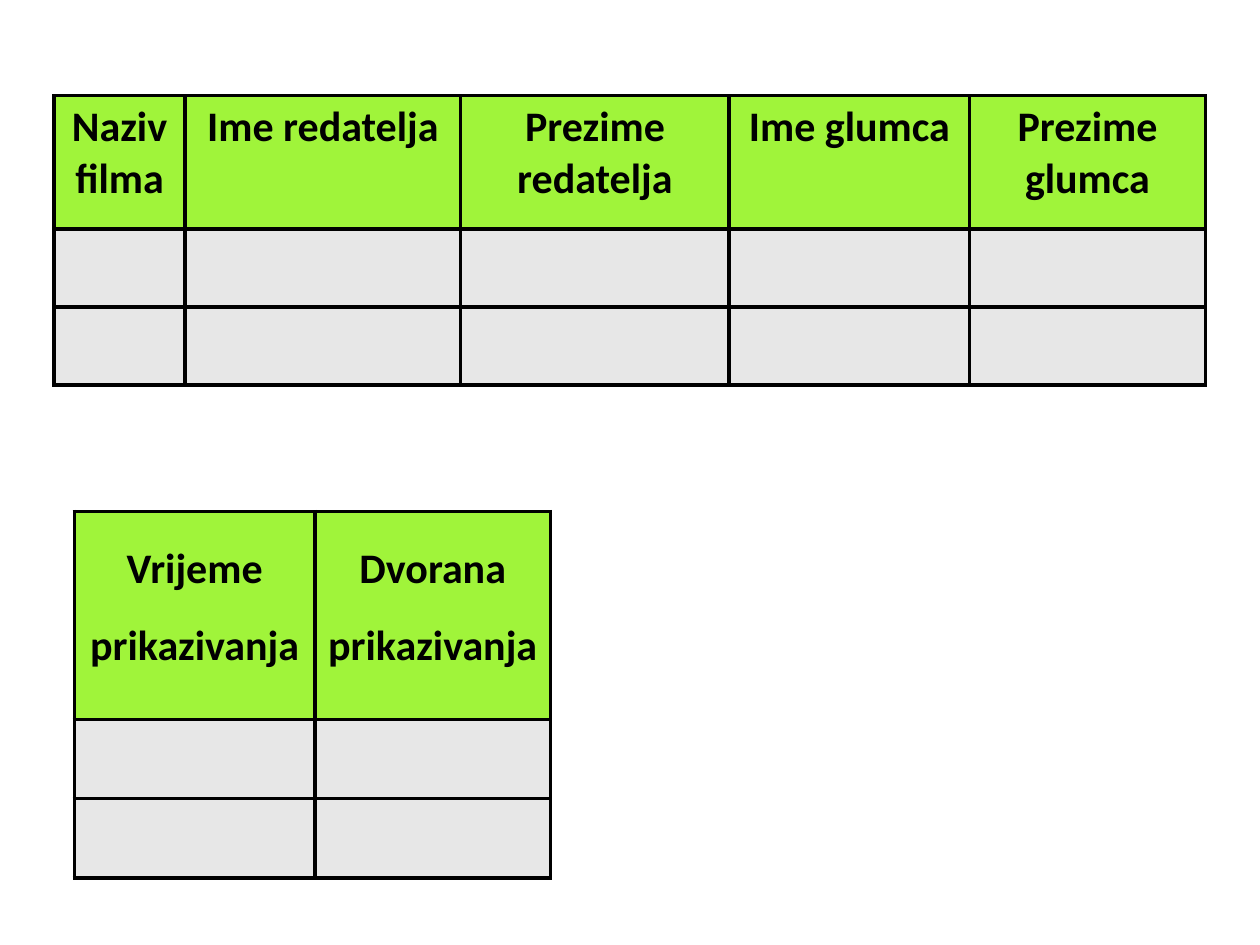
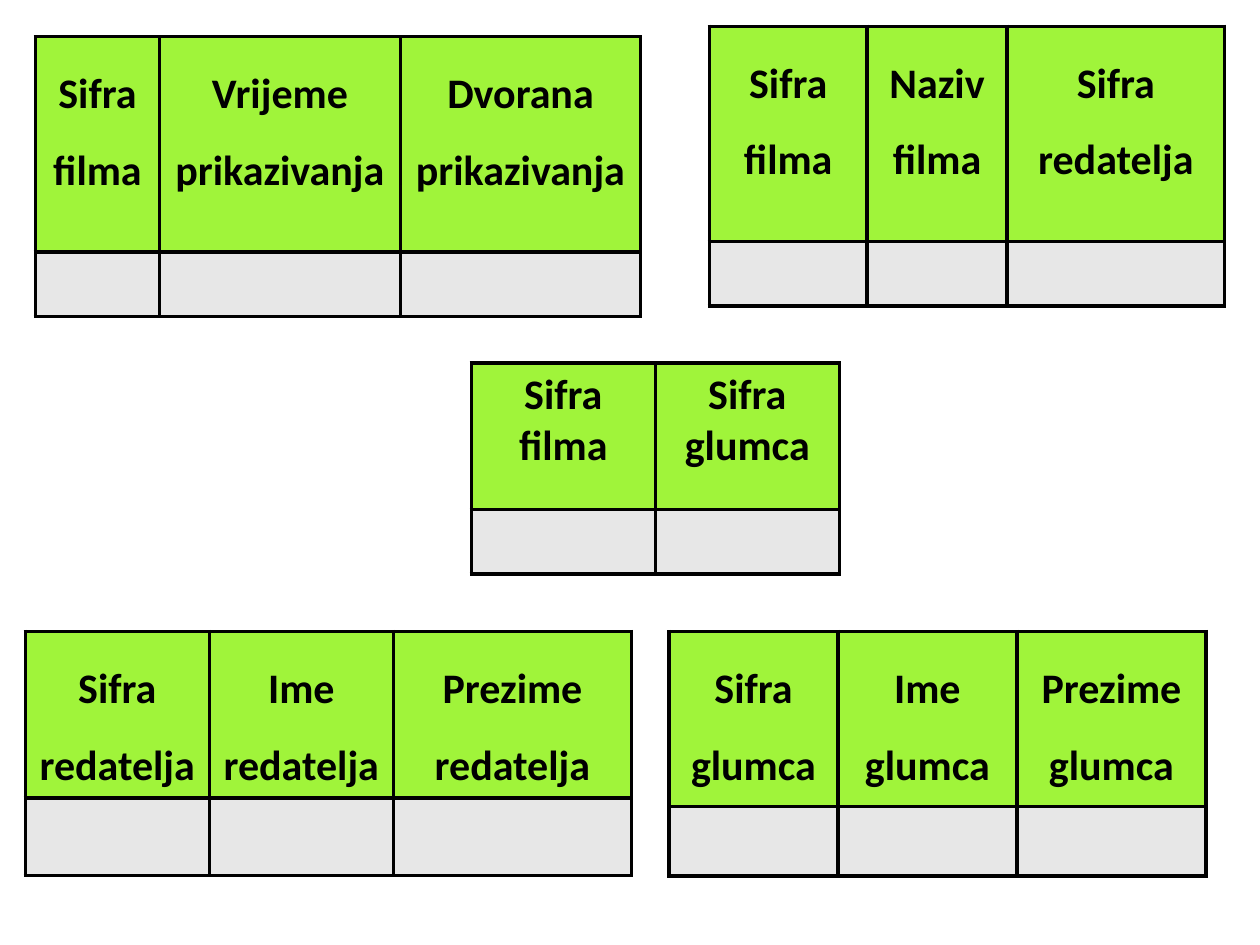
from dataclasses import dataclass

from lxml import etree
from pptx import Presentation
from pptx import util as u
from pptx.dml.color import RGBColor
from pptx.enum import text
from pptx.oxml import ns


@dataclass(frozen=True)
class Theme:
    header: RGBColor = RGBColor(0xA0, 0xF4, 0x3A)
    body: RGBColor = RGBColor(0xE7, 0xE7, 0xE7)
    ink: RGBColor = RGBColor(0, 0, 0)
    font: str = "Calibri"
    size: u.Pt = u.Pt(24)
    border: u.Pt = u.Pt(2.25)
    margin: u.Cm = u.Cm(0.19)


THEME = Theme()
LOOSE = 1.5


def border_cell(cell):
    tc_pr = cell._tc.get_or_add_tcPr()
    for side in ("lnL", "lnR", "lnT", "lnB"):
        ln = etree.SubElement(tc_pr, ns.qn(f"a:{side}"), w=str(int(THEME.border)))
        fill = etree.SubElement(ln, ns.qn("a:solidFill"))
        etree.SubElement(fill, ns.qn("a:srgbClr"), val=str(THEME.ink))


def style_cell(cell, color):
    border_cell(cell)
    cell.fill.solid()
    cell.fill.fore_color.rgb = color
    cell.margin_left = cell.margin_right = THEME.margin


def write_heading(cell, heading, spacing):
    """Write a column heading, one paragraph for each line of the string."""
    tf = cell.text_frame
    for i, line in enumerate(heading.split("\n")):
        p = tf.add_paragraph() if i else tf.paragraphs[0]
        p.alignment = text.PP_ALIGN.CENTER
        if spacing:
            p.line_spacing = spacing
        r = p.add_run()
        r.text = line
        r.font.name = THEME.font
        r.font.size = THEME.size
        r.font.bold = True
        r.font.color.rgb = THEME.ink


def add_relation(s, left, top, columns, heights, spacing=None):
    """Add a table with headings over empty rows.

    columns holds (heading, width) pairs; heights starts with the header row.
    All lengths are in centimetres.
    """
    widths = [width for _, width in columns]
    frame = s.shapes.add_table(len(heights), len(columns), u.Cm(left), u.Cm(top),
                               u.Cm(sum(widths)), u.Cm(sum(heights)))
    table = frame.table
    table.first_row = table.horz_banding = False
    for column, width in zip(table.columns, widths):
        column.width = u.Cm(width)
    for i, (row, height) in enumerate(zip(table.rows, heights)):
        row.height = u.Cm(height)
        for cell in row.cells:
            style_cell(cell, THEME.body if i else THEME.header)
    for cell, (heading, _) in zip(table.rows[0].cells, columns):
        write_heading(cell, heading, spacing)


def add_starting_tables(s):
    add_relation(s, 1.09, 1.93,
                 [("Naziv filma", 2.64), ("Ime redatelja", 5.56),
                  ("Prezime redatelja", 5.41), ("Ime glumca", 4.85),
                  ("Prezime glumca", 4.75)],
                 [2.69, 1.57, 1.57])
    add_relation(s, 1.5, 10.31,
                 [("Vrijeme prikazivanja", 4.85), ("Dvorana\nprikazivanja", 4.75)],
                 [4.19, 1.6, 1.6], LOOSE)


def add_linked_tables(s):
    screening_rows = [4.34, 1.3]
    people_top = 12.73
    add_relation(s, 0.71, 0.74,
                 [("Sifra filma", 2.51), ("Vrijeme prikazivanja", 4.85),
                  ("Dvorana\nprikazivanja", 4.85)],
                 screening_rows, LOOSE)
    add_relation(s, 0.51, people_top,
                 [("Sifra redatelja", 3.71), ("Ime redatelja", 3.71),
                  ("Prezime redatelja", 4.8)],
                 [3.35, 1.57], LOOSE)
    add_relation(s, 13.49, people_top,
                 [("Sifra glumca", 3.4), ("Ime glumca", 3.61),
                  ("Prezime glumca", 3.81)],
                 [3.53, 1.4], LOOSE)
    add_relation(s, 14.3, 0.53,
                 [("Sifra filma", 3.18), ("Naziv filma", 2.82),
                  ("Sifra redatelja", 4.39)],
                 screening_rows, LOOSE)
    add_relation(s, 9.5, 7.32,
                 [("Sifra filma", 3.71), ("Sifra glumca", 3.71)],
                 [2.95, 1.3])


def main():
    prs = Presentation()
    prs.slide_width, prs.slide_height = u.Cm(25.4), u.Cm(19.05)
    blank = prs.slide_layouts[6]
    for add_tables in (add_starting_tables, add_linked_tables):
        add_tables(prs.slides.add_slide(blank))
    prs.save("out.pptx")


if __name__ == "__main__":
    main()
